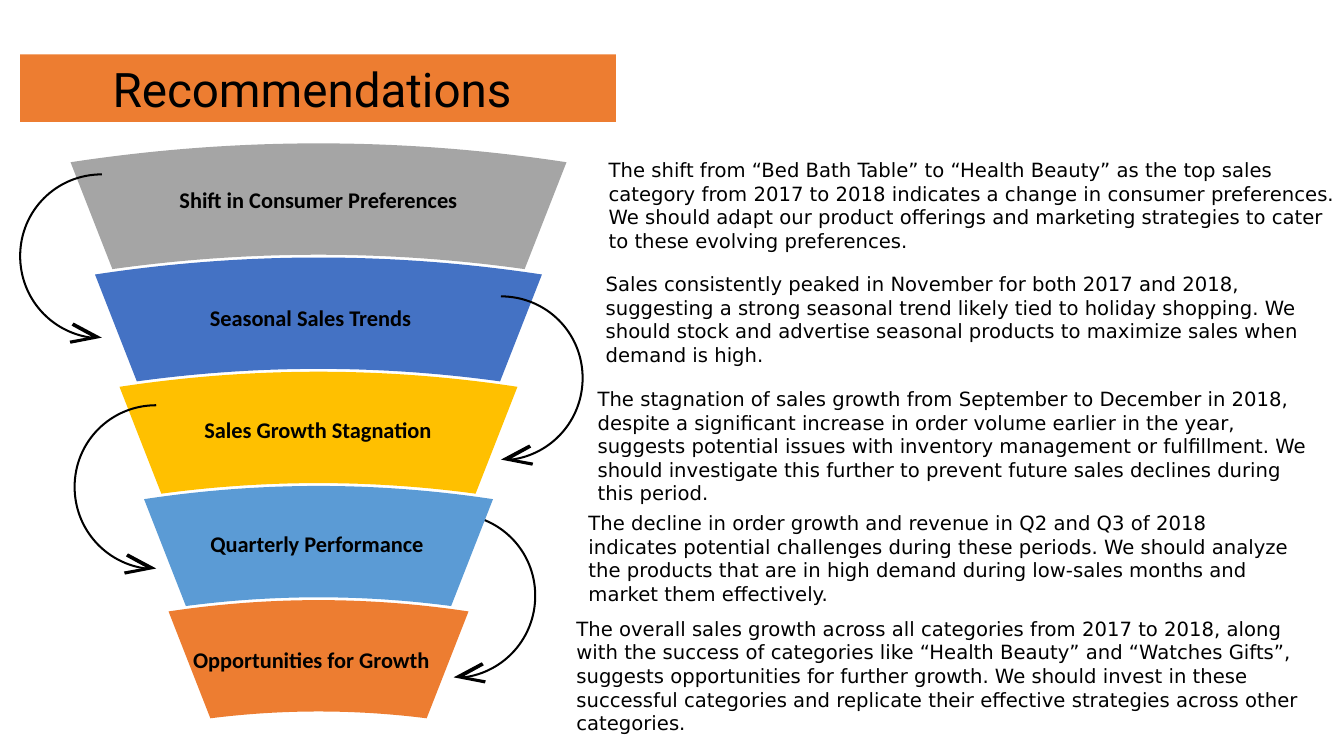
from pptx import Presentation
from pptx.dml.color import RGBColor
from pptx.enum.shapes import MSO_SHAPE
from pptx.enum.text import MSO_ANCHOR, MSO_AUTO_SIZE, PP_ALIGN
from pptx.oxml.ns import qn
from pptx.util import Pt
from lxml import etree

PX = 9144  # 100 px to the inch
RECT = MSO_SHAPE.RECTANGLE
GROW = MSO_AUTO_SIZE.SHAPE_TO_FIT_TEXT
LEFT, CENTER = PP_ALIGN.LEFT, PP_ALIGN.CENTER
TOP, MIDDLE = MSO_ANCHOR.TOP, MSO_ANCHOR.MIDDLE

COLORS = {
    "black": "000000", "gray": "A5A5A5", "blue": "4472C4",
    "gold": "FFC000", "sky": "5B9BD5", "orange": "ED7D31",
}
BANDS = ["gray", "blue", "gold", "sky", "orange"]  # top to bottom
AXIS = 316  # middle of the funnel

# Text, box, wrap
LABELS = [
    ("Shift in Consumer Preferences", (166, 180, 300, 37), False),
    ("Seasonal Sales Trends", (197, 297, 222, 37), False),
    ("Sales Growth Stagnation", (191, 408, 249, 37), False),
    ("Quarterly Performance", (197, 521, 235, 37), False),
    ("Opportunities for Growth", (176, 636, 266, 37), True),
]
NOTES = [
    ("The shift from “Bed Bath Table” to “Health Beauty” as the top sales "
     "category from 2017 to 2018 indicates a change in consumer preferences. "
     "We should adapt our product offerings and marketing strategies to cater "
     "to these evolving preferences.", (594, 152, 744, 104)),
    ("Sales consistently peaked in November for both 2017 and 2018, "
     "suggesting a strong seasonal trend likely tied to holiday shopping. We "
     "should stock and advertise seasonal products to maximize sales when "
     "demand is high.", (591, 265, 731, 104)),
    ("The stagnation of sales growth from September to December in 2018, "
     "despite a significant increase in order volume earlier in the year, "
     "suggests potential issues with inventory management or fulfillment. We "
     "should investigate this further to prevent future sales declines during "
     "this period.", (583, 379, 732, 118)),
    ("The decline in order growth and revenue in Q2 and Q3 of 2018 "
     "indicates potential challenges during these periods. We should analyze "
     "the products that are in high demand during low-sales months and "
     "market them effectively.", (574, 502, 720, 94)),
    ("The overall sales growth across all categories from 2017 to 2018, along "
     "with the success of categories like “Health Beauty” and “Watches Gifts”, "
     "suggests opportunities for further growth. We should invest in these "
     "successful categories and replicate their effective strategies across "
     "other categories.", (562, 607, 744, 128)),
]

# Tail of each arrow and the side it swings to
ARROWS = [(101, 173, -1), (497, 294, 1), (155, 402, -1), (450, 510, 1)]
# Offsets from the tail, for an arrow that swings right
ARC = [(10, 162), (50, 157), (81, 123), (81, 81),
       (81, 36), (45, 0), (0, 0)]
HEAD = [(28, 147), (30, 150), (10, 161), (32, 165), (31, 168), (0, 162)]


def emu(*sizes):
    return [round(size * PX) for size in sizes]


def rgb(name):
    return RGBColor.from_string(COLORS[name])


def bend(shape):
    """Turn each three line steps into one cubic curve."""
    steps = list(shape._element.iter(qn("a:lnTo")))
    for first in range(0, len(steps), 3):
        trio = steps[first:first + 3]
        cubic = etree.Element(qn("a:cubicBezTo"))
        trio[0].addprevious(cubic)
        for step in trio:
            cubic.append(step[0])
            step.getparent().remove(step)


def outline(slide, points, fill=None, line=None, curved=False):
    """Closed filled shape, or an open stroke when there is no fill."""
    pen = slide.shapes.build_freeform(*emu(*points[0]), scale=1.0)
    pen.add_line_segments([emu(*point) for point in points[1:]],
                          close=False)
    shape = pen.convert_to_shape()
    shape.shadow.inherit = False
    if curved:
        bend(shape)
    if fill:
        shape.fill.solid()
        shape.fill.fore_color.rgb = rgb(fill)
    else:
        shape.fill.background()
    if line:
        shape.line.color.rgb = rgb(line)
        shape.line.width = Pt(1.45)
    else:
        shape.line.fill.background()


def edge(start, end, rise=0):
    """Steps after start along an edge, arched by rise."""
    (x, y), (far, low) = start, end
    mids = [(x + (far - x) * t, y + (low - y) * t - rise)
            for t in (1 / 3, 2 / 3)]
    return mids + [end]


def band(slide, row):
    """Each row sits lower, narrower and flatter than the one above."""
    drop, shrink, flat = 111.4 * row, 24.3 * row, 2.5 * row
    wide, slim = 246 - shrink, 204.5 - shrink
    high, low = 161 + drop, 267 + drop
    a, b = (AXIS - slim, low), (AXIS + slim, low)
    c, d = (AXIS + wide, high), (AXIS - wide, high)
    points = ([a] + edge(a, b, 19 - flat) + edge(b, c)
              + edge(c, d, 25 - flat) + edge(d, a))
    outline(slide, points, fill=BANDS[row], curved=True)


def arrow(slide, x, y, side):
    def place(points):
        return [(x + side * dx, y + dy) for dx, dy in points]

    outline(slide, place(ARC), line="black", curved=True)
    outline(slide, place(HEAD + HEAD[:1]), fill="black")


def write(shape, text, size=14, font="DejaVu Sans", bold=False, align=LEFT,
          anchor=TOP, wrap=True):
    frame = shape.text_frame
    frame.word_wrap = wrap
    frame.auto_size = GROW
    frame.vertical_anchor = anchor
    para = frame.paragraphs[0]
    para.alignment = align
    run = para.add_run()
    run.text = text
    run.font.size = Pt(size)
    run.font.name = font
    run.font.bold = bold
    run.font.color.rgb = rgb("black")


def note(slide, text, box, **form):
    write(slide.shapes.add_textbox(*emu(*box)), text, **form)


def title(slide, text, box):
    bar = slide.shapes.add_shape(RECT, *emu(*box))
    bar.shadow.inherit = False
    bar.fill.solid()
    bar.fill.fore_color.rgb = rgb("orange")
    bar.line.fill.background()
    write(bar, text, size=34, font="Roboto", align=CENTER, anchor=MIDDLE)


def main():
    deck = Presentation()
    deck.slide_width, deck.slide_height = emu(4000 / 3, 750)
    slide = deck.slides.add_slide(deck.slide_layouts[6])

    # Funnel: the arrows lie over the top three bands, under the last two
    for row in (2, 1, 0):
        band(slide, row)
    for spot in ARROWS:
        arrow(slide, *spot)
    for row in (3, 4):
        band(slide, row)

    # Text
    for text, box in NOTES:
        note(slide, text, box)
    for text, box, wrap in LABELS:
        note(slide, text, box, size=16, font="Calibri", bold=True,
             align=CENTER, wrap=wrap)
    title(slide, "Recommendations ", (20, 54, 591, 67))

    deck.save("out.pptx")


if __name__ == "__main__":
    main()
